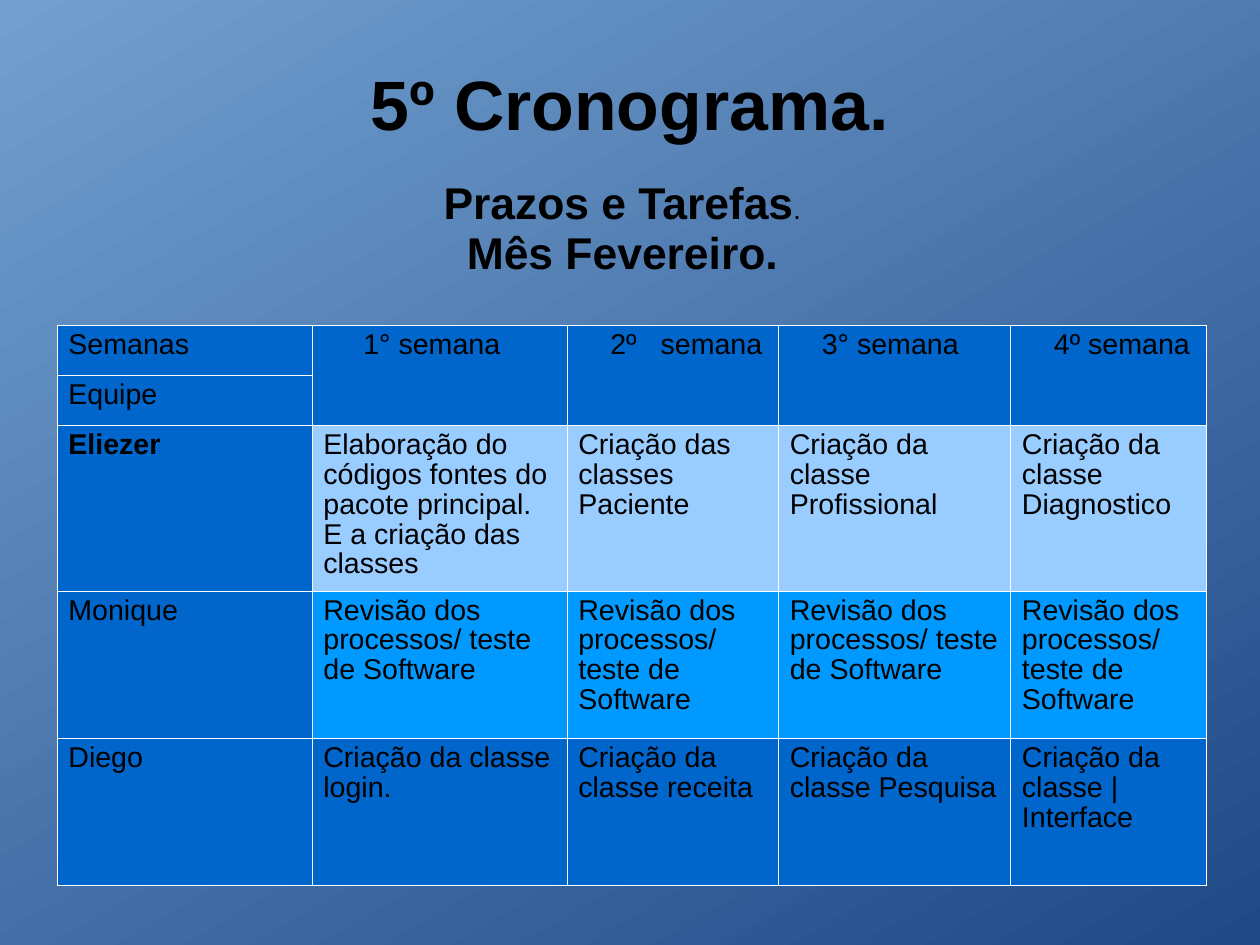
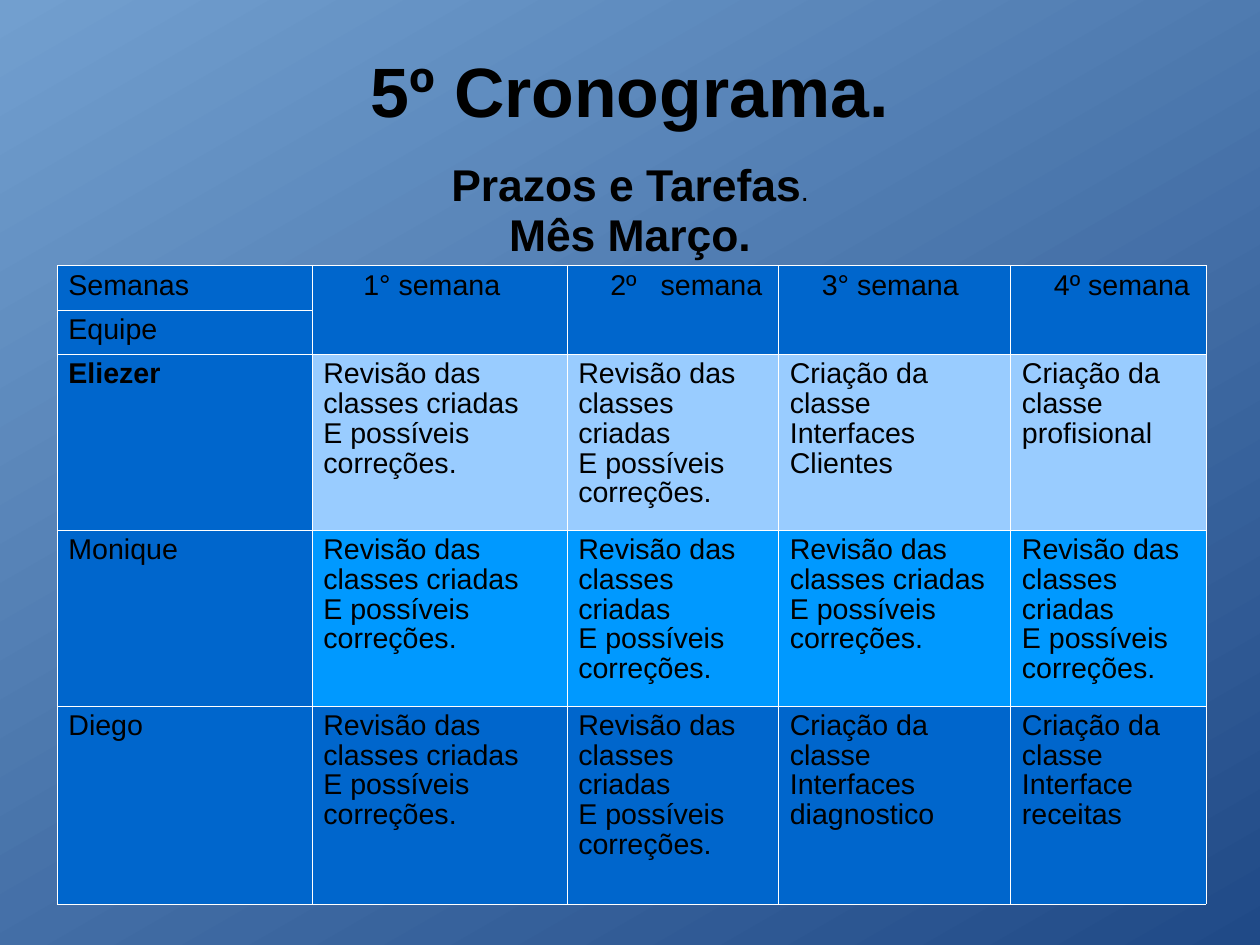
from lxml.etree import SubElement
from pptx import Presentation
from pptx.dml.color import RGBColor
from pptx.enum.text import MSO_ANCHOR, PP_ALIGN
from pptx.oxml.ns import qn
from pptx.util import Cm, Inches, Pt

WIDTH, HEIGHT = Cm(28), Cm(21)
FONT = "Arial"
INK, RULE = "000000", "FFFFFF"
SKY, NAVY = "729FCF", "204A87"
DEEP, PALE, BRIGHT = "0066CC", "99CCFF", "0099FF"
ROW_FILLS = [DEEP, DEEP, PALE, BRIGHT, DEEP]
COLS = [2.23, 2.23, 1.85, 2.03, 1.71]
WEEKS = ["1° semana", "2º\tsemana", "3° semana", "4º semana"]
WEEK_INDENTS = [0.35, 0.28, 0.28, 0.28]
TAB_STOP = 0.44

REVIEW = "Revisão dos processos/ teste de Software"
FIX = "Revisão das classes criadas\nE possíveis correções."

MONTHS = [
    {
        "name": "Mês Fevereiro.",
        "title": (5, 4, 90, 14.15),
        "head": (2.25, 18.1, 94.28, 11.97),
        "table": (4.52, 34.38, 91.2, 59),
        "rows": [0.44, 0.44, 1.42, 1.29, 1.29],
        "tasks": [
            ["Eliezer",
             "Elaboração do códigos fontes do pacote principal. "
             "E a criação das classes",
             "Criação das classes Paciente",
             "Criação da classe Profissional",
             "Criação da classe Diagnostico"],
            ["Monique"] + [REVIEW] * 4,
            ["Diego",
             "Criação da classe login.",
             "Criação da classe receita",
             "Criação da classe Pesquisa",
             "Criação da classe |Interface"],
        ],
    },
    {
        "name": "Mês Março.",
        "title": (5, 3.26, 90, 12.94),
        "head": (5, 16.16, 90, 11.97),
        "table": (4.52, 28.1, 91.2, 67.6),
        "rows": [0.39, 0.39, 1.54, 1.54, 1.74],
        "tasks": [
            ["Eliezer", FIX, FIX,
             "Criação da classe Interfaces Clientes",
             "Criação da classe profisional"],
            ["Monique"] + [FIX] * 4,
            ["Diego", FIX, FIX,
             "Criação da classe Interfaces diagnostico",
             "Criação da classe Interface receitas"],
        ],
    },
]


def color(code):
    return RGBColor.from_string(code)


def place(box):
    """Turn percentages of the slide into left, top, width and height."""
    sides = (WIDTH, HEIGHT, WIDTH, HEIGHT)
    return [int(side * share / 100) for side, share in zip(sides, box)]


def write(frame, lines, align=PP_ALIGN.LEFT):
    """Fill a frame; each line is a list of (text, size, bold) runs."""
    frame.word_wrap = True
    for i, line in enumerate(lines):
        para = frame.paragraphs[0] if i == 0 else frame.add_paragraph()
        para.alignment = align
        para.line_spacing = 0.93
        for text, size, bold in line:
            run = para.add_run()
            run.text = text
            run.font.name = FONT
            run.font.size = Pt(size)
            run.font.bold = bold
            run.font.color.rgb = color(INK)


def add_text(slide, box, lines, insets, anchor):
    frame = slide.shapes.add_textbox(*place(box)).text_frame
    (frame.margin_left, frame.margin_top,
     frame.margin_right, frame.margin_bottom) = map(Inches, insets)
    frame.vertical_anchor = anchor
    write(frame, lines, PP_ALIGN.CENTER)


def style_cell(cell, fill):
    props = cell._tc.get_or_add_tcPr()
    for side in ("a:lnL", "a:lnR", "a:lnT", "a:lnB"):
        line = SubElement(props, qn(side), w="762")
        solid = SubElement(line, qn("a:solidFill"))
        SubElement(solid, qn("a:srgbClr"), val=RULE)
    cell.fill.solid()
    cell.fill.fore_color.rgb = color(fill)
    cell.margin_left = cell.margin_right = Inches(0.1)
    cell.margin_top = Inches(0.05)
    cell.margin_bottom = 0


def add_tab(para, inches):
    stops = SubElement(para._p.get_or_add_pPr(), qn("a:tabLst"))
    SubElement(stops, qn("a:tab"), pos=str(Inches(inches)), algn="l")


def add_plan(slide, box, rows, tasks):
    left, top, width, height = place(box)
    frame = slide.shapes.add_table(len(rows), len(COLS), left, top, width, height)
    table = frame.table
    table.first_row = table.horz_banding = False
    for col, share in zip(table.columns, COLS):
        col.width = int(width * share / sum(COLS))
    for row, share in zip(table.rows, rows):
        row.height = int(height * share / sum(rows))

    texts = [["Semanas"] + WEEKS, ["Equipe"] + [""] * len(WEEKS)] + tasks
    for r, (fill, line) in enumerate(zip(ROW_FILLS, texts)):
        for c, text in enumerate(line):
            cell = table.cell(r, c)
            style_cell(cell, DEEP if c == 0 else fill)
            if "\t" in text:
                add_tab(cell.text_frame.paragraphs[0], TAB_STOP)
            if text:
                bold = text == "Eliezer"
                write(cell.text_frame,
                      [[(part, 18, bold)] for part in text.split("\n")])
    for c, indent in enumerate(WEEK_INDENTS, 1):
        week = table.cell(0, c)
        week.margin_left = Inches(0.1 + indent)
        week.merge(table.cell(1, c))


def add_month(deck, month):
    slide = deck.slides.add_slide(deck.slide_layouts[6])
    add_text(slide, month["title"], [[("5º Cronograma.", 44, True)]],
             (0, 0.04, 0, 0), MSO_ANCHOR.MIDDLE)
    add_text(slide, month["head"],
             [[("Prazos e Tarefas", 28, True), (".", 18, False)],
              [(month["name"], 28, True)]],
             (0.1, 0.08, 0.1, 0.05), MSO_ANCHOR.TOP)
    add_plan(slide, month["table"], month["rows"], month["tasks"])


def paint_master(deck):
    fill = deck.slide_master.background.fill
    fill.gradient()
    fill.gradient_angle = 300
    for stop, code in zip(fill.gradient_stops, (SKY, NAVY)):
        stop.color.rgb = color(code)


def main():
    deck = Presentation()
    deck.slide_width, deck.slide_height = WIDTH, HEIGHT
    paint_master(deck)
    for month in MONTHS:
        add_month(deck, month)
    deck.save("out.pptx")


if __name__ == "__main__":
    main()
